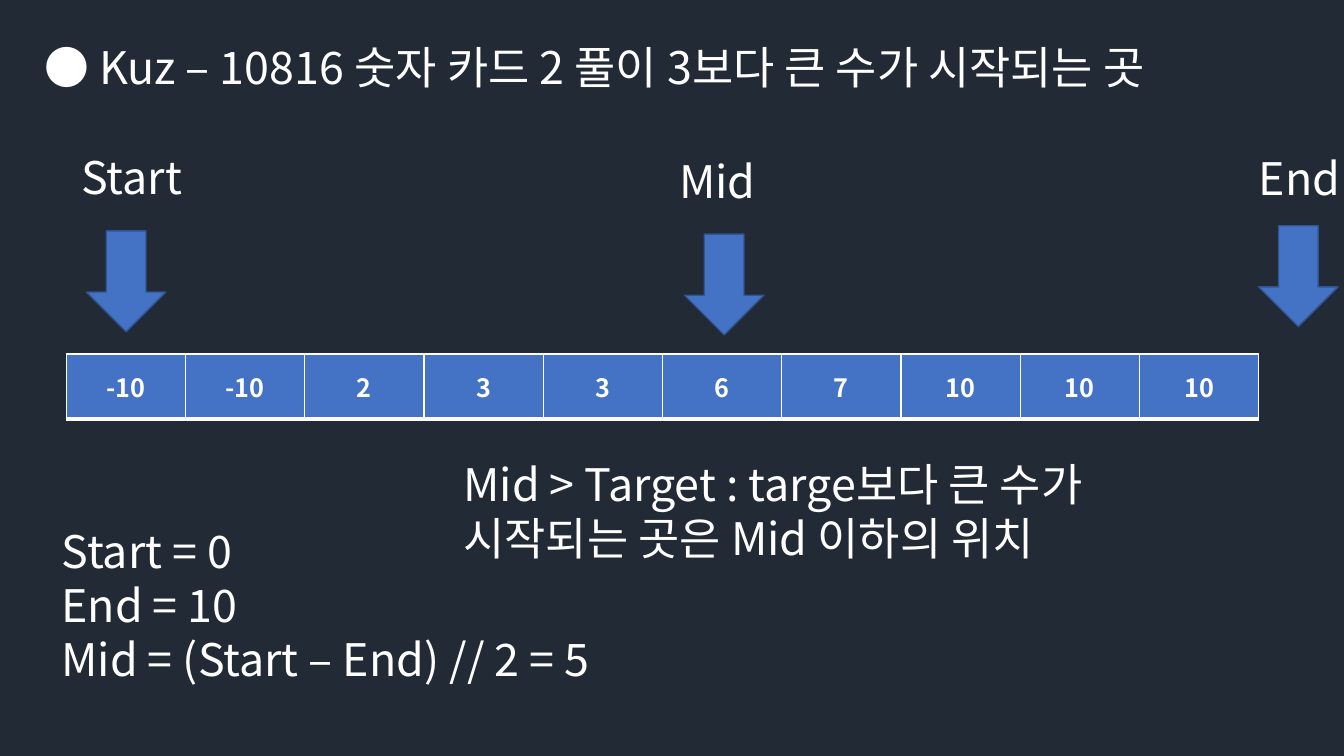
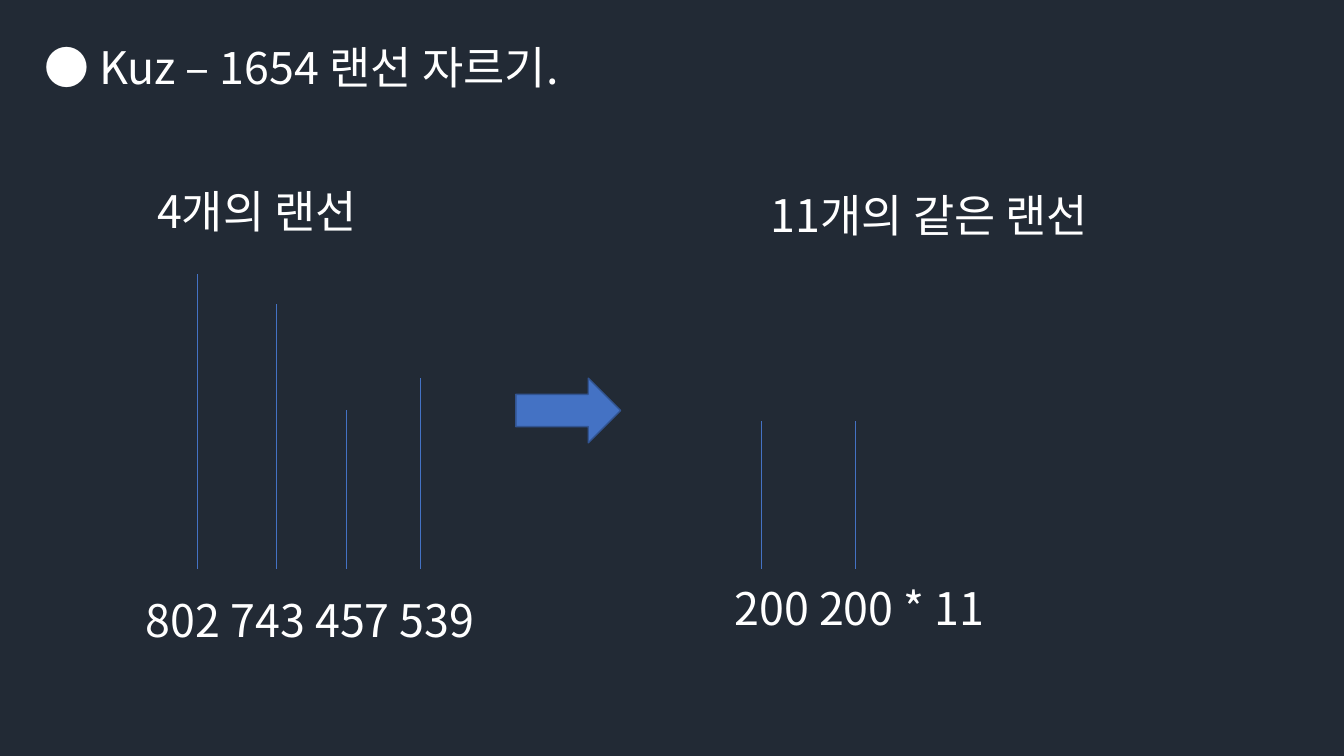
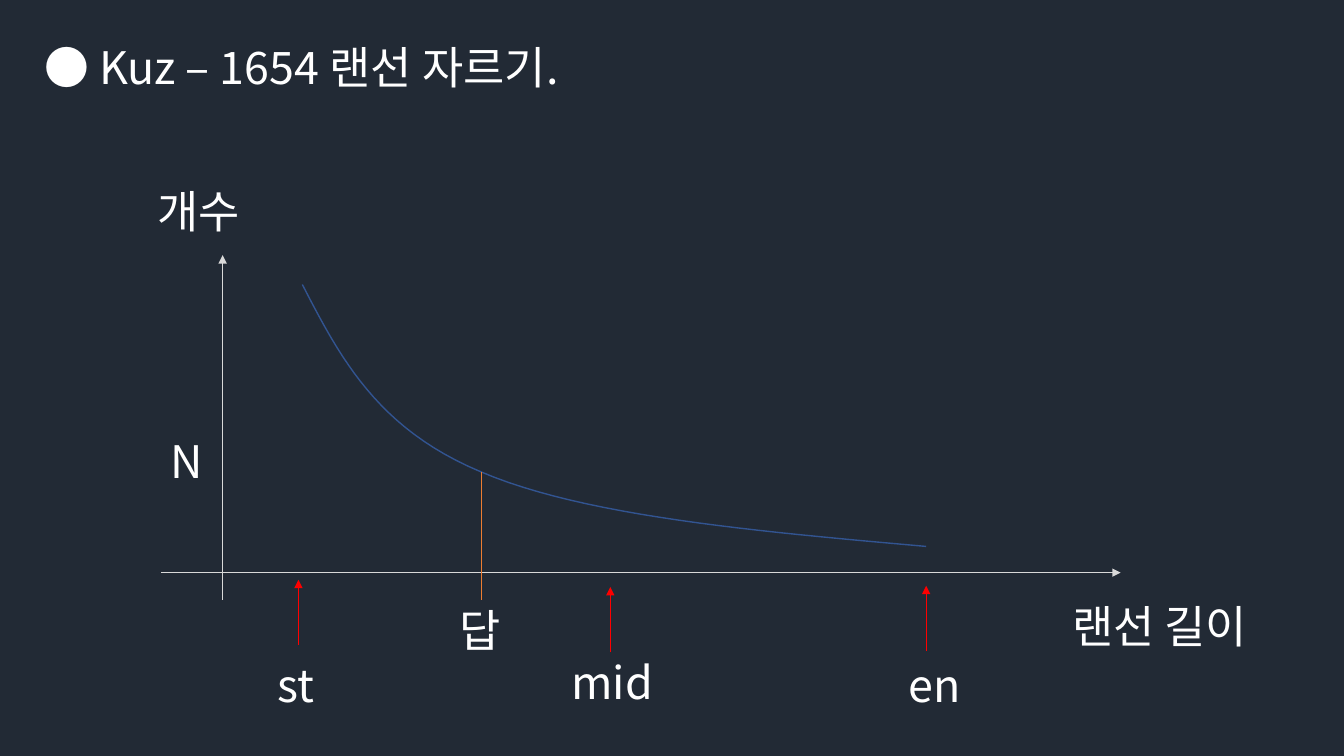
from dataclasses import dataclass

import pptx
import pptx.dml.color
import pptx.enum.shapes
import pptx.enum.text
import pptx.oxml
import pptx.oxml.ns
import pptx.util

Cm = pptx.util.Cm
Pt = pptx.util.Pt
Shapes = pptx.enum.shapes.MSO_SHAPE
Align = pptx.enum.text.PP_ALIGN
Anchor = pptx.enum.text.MSO_ANCHOR


@dataclass(frozen=True)
class Theme:
    """Colours, font, sizes and line widths of the deck."""

    background: str = "222A35"
    text: str = "FFFFFF"
    accent: str = "4472C4"
    outline: str = "325491"
    axis: str = "D9D9D9"
    answer: str = "ED7D31"
    marker: str = "FF0000"
    font: str = "Noto Sans CJK KR"
    body_size: int = 32
    cell_size: int = 18
    thin: float = 0.5
    normal: float = 1
    thick: float = 3


@dataclass(frozen=True)
class Box:
    """A rectangle in centimetres."""

    left: float
    top: float
    width: float
    height: float

    @property
    def bottom(self):
        """Return the lower edge."""
        return self.top + self.height

    def lengths(self):
        """Return left, top, width and height as lengths."""
        return [Cm(value) for value in (self.left, self.top, self.width, self.height)]


THEME = Theme()
LINE_HEIGHT = 1.63
TITLE_BOX = Box(0.86, 0.88, 31.19, LINE_HEIGHT)


def rgb(value):
    """Return a colour from its hex code."""
    return pptx.dml.color.RGBColor.from_string(value)


def apply_format(target, values):
    """Set each named attribute of the target."""
    for name, value in values.items():
        setattr(target, name, value)


def add_xml(parent, markup):
    """Append one DrawingML element to the parent."""
    namespace = pptx.oxml.ns.nsdecls("a")
    head, rest = markup.split(" ", 1)
    parent.append(pptx.oxml.parse_xml(f"{head} {namespace} {rest}"))


def write_text(text_frame, lines, size=THEME.body_size, bold=False, alignment=Align.LEFT):
    """Write one formatted paragraph for each line."""
    for index, line in enumerate(lines):
        paragraph = text_frame.add_paragraph() if index else text_frame.paragraphs[0]
        paragraph.alignment = alignment
        run = paragraph.add_run()
        run.text = line
        apply_format(run.font, {"size": Pt(size), "bold": bold, "name": THEME.font})
        run.font.color.rgb = rgb(THEME.text)
        add_xml(run._r.get_or_add_rPr(), f'<a:ea typeface="{THEME.font}"/>')


def format_frame(text_frame):
    """Make a frame wrap from the top and grow with its text."""
    apply_format(text_frame, {
        "word_wrap": True,
        "vertical_anchor": Anchor.TOP,
        "auto_size": pptx.enum.text.MSO_AUTO_SIZE.SHAPE_TO_FIT_TEXT,
    })


def add_text(slide, box, *lines):
    """Add a text box."""
    text_frame = slide.shapes.add_textbox(*box.lengths()).text_frame
    format_frame(text_frame)
    write_text(text_frame, lines)


def format_line(line, color, width):
    """Set the colour and width of a line."""
    line.color.rgb = rgb(color)
    line.width = Pt(width)


def add_block_arrow(slide, kind, box):
    """Add a filled block arrow."""
    arrow = slide.shapes.add_shape(kind, *box.lengths())
    arrow.shadow.inherit = False
    arrow.fill.solid()
    arrow.fill.fore_color.rgb = rgb(THEME.accent)
    format_line(arrow.line, THEME.outline, THEME.normal)


def add_line(slide, start, end, color, arrowhead=False):
    """Add a thin straight line, with an arrowhead at its end if asked."""
    connector = slide.shapes.add_connector(
        pptx.enum.shapes.MSO_CONNECTOR.STRAIGHT, *[Cm(value) for value in (*start, *end)])
    format_line(connector.line, color, THEME.thin)
    properties = connector._element.spPr
    if arrowhead:
        add_xml(properties.find(pptx.oxml.ns.qn("a:ln")), '<a:tailEnd type="triangle"/>')
    add_xml(properties, "<a:effectLst />")


def add_slide(presentation, title):
    """Add a slide with the shared title style."""
    slide = presentation.slides.add_slide(presentation.slide_layouts[5])
    shape = slide.shapes.title
    apply_format(shape, dict(zip(("left", "top", "width", "height"), TITLE_BOX.lengths())))
    format_frame(shape.text_frame)
    write_text(shape.text_frame, [f"● {title}"])
    return slide


def add_number_row(slide, box, numbers):
    """Add a one-row table of equal cells."""
    table = slide.shapes.add_table(1, len(numbers), *box.lengths()).table
    borders = {"lnL": THEME.normal, "lnR": THEME.normal,
               "lnT": THEME.normal, "lnB": THEME.thick}
    for column, number in enumerate(numbers):
        table.columns[column].width = Cm(box.width / len(numbers))
        cell = table.cell(0, column)
        cell.vertical_anchor = Anchor.MIDDLE
        for side, width in borders.items():
            add_xml(cell._tc.get_or_add_tcPr(),
                    f'<a:{side} w="{Pt(width)}"><a:solidFill><a:srgbClr val="{THEME.text}"/>'
                    f'</a:solidFill></a:{side}>')
        cell.fill.solid()
        cell.fill.fore_color.rgb = rgb(THEME.accent)
        write_text(cell.text_frame, [str(number)], THEME.cell_size, True, Align.CENTER)


def add_pointer(slide, box, label, indent):
    """Add a label at the top of the box and a down arrow at its bottom."""
    width, height = 2, 2.54
    add_text(slide, Box(box.left, box.top, box.width, LINE_HEIGHT), label)
    add_block_arrow(slide, Shapes.DOWN_ARROW,
                    Box(box.left + indent, box.bottom - height, width, height))


def add_cables(slide, box, heading, caption, indent, floor, cables):
    """Add a heading, upright cables given as offset and length, and a caption."""
    add_text(slide, Box(box.left + indent, box.top, box.width - indent, LINE_HEIGHT), heading)
    add_text(slide, Box(box.left, box.bottom - LINE_HEIGHT, box.width, LINE_HEIGHT), caption)
    bottom = box.top + floor
    for offset, length in cables:
        x = box.left + offset
        add_line(slide, (x, bottom - length), (x, bottom), THEME.accent)


def bezier_points(start, first, second, end, steps=24):
    """Return points along a cubic curve, without its start."""
    points = []
    for step in range(1, steps + 1):
        t = step / steps
        weights = ((1 - t) ** 3, 3 * t * (1 - t) ** 2, 3 * t ** 2 * (1 - t), t ** 3)
        points.append(tuple(
            sum(weight * value for weight, value in zip(weights, values))
            for values in zip(start, first, second, end)))
    return points


def add_graph(slide, box):
    """Add axes, a falling curve, the answer line and the search markers."""
    overhang_left, overhang_below = 1.55, 0.68
    start, answer, end = (2.01, -7.26), (6.51, -2.54), (17.73, -0.66)

    def place(point):
        """Move a point from the axis origin to the slide."""
        return box.left + point[0], box.bottom + point[1]

    def label(text, x, y):
        """Add a label at a place relative to the axis origin."""
        add_text(slide, Box(*place((x, y)), 6.1, LINE_HEIGHT), text)

    add_line(slide, place((0, overhang_below)), place((0, -box.height)), THEME.axis, True)
    add_line(slide, place((-overhang_left, 0)), place((box.width, 0)), THEME.axis, True)

    points = bezier_points(start, (2.95, -5.44), (3.89, -3.63), answer)
    points += bezier_points(answer, (9.12, -1.42), (13.44, -1.04), end)
    vertices = [tuple(Cm(value) for value in place(point)) for point in (start, *points)]
    builder = slide.shapes.build_freeform(*vertices[0])
    builder.add_line_segments(vertices[1:], close=False)
    curve = builder.convert_to_shape()
    curve.shadow.inherit = False
    curve.fill.background()
    format_line(curve.line, THEME.outline, THEME.normal)

    add_line(slide, place(answer), place((answer[0], overhang_below)), THEME.answer)
    for text, x, y in (("개수", -1.9, -9.93), ("랜선 길이", 21.16, 0.53),
                       ("N", -1.55, -3.63), ("답", 5.72, 0.64)):
        label(text, x, y)

    marker_length = 1.65
    for text, x, tip, text_x, text_y in (("st", 1.91, 0.18, 1.14, 2.03),
                                         ("mid", 9.77, 0.36, 8.54, 1.95),
                                         ("en", 17.73, 0.33, 17.03, 2.03)):
        add_line(slide, place((x, tip + marker_length)), place((x, tip)), THEME.marker, True)
        label(text, text_x, text_y)


def build_search_slide(presentation):
    """Build the binary search step."""
    slide = add_slide(presentation, "Kuz – 10816 숫자 카드 2 풀이 3보다 큰 수가 시작되는 곳")
    add_number_row(slide, Box(1.67, 8.92, 30.05, LINE_HEIGHT),
                   (-10, -10, 2, 3, 3, 6, 7, 10, 10, 10))
    for label, left, top, height, indent in (("Start", 1.8, 3.66, 4.7, 0.38),
                                             ("Mid", 16.87, 3.74, 4.7, 0.38),
                                             ("End", 31.47, 3.68, 4.55, 0.25)):
        add_pointer(slide, Box(left, top, 3.15, height), label, indent)
    add_text(slide, Box(1.3, 13.08, 23.42, 4.37),
             "Start = 0", "End = 10", "Mid = (Start – End) // 2 = 5")
    add_text(slide, Box(11.43, 11.38, 18.75, 3),
             "Mid > Target : targe보다 큰 수가 시작되는 곳은 Mid 이하의 위치")


def build_cutting_slide(presentation, title):
    """Build the cables before and after cutting."""
    slide = add_slide(presentation, title)
    add_cables(slide, Box(3.43, 4.5, 9.98, 11.94), "4개의 랜선", "802 743 457 539", 0.28, 9.83,
               ((1.55, 7.42), (3.54, 6.66), (5.31, 3.99), (7.17, 4.8)))
    add_block_arrow(slide, Shapes.RIGHT_ARROW, Box(13, 9.53, 2.64, LINE_HEIGHT))
    add_cables(slide, Box(18.26, 4.6, 10.65, 11.53), "11개의 같은 랜선", "200 200 * 11", 0.92, 9.73,
               ((0.92, 3.71), (3.3, 3.71)))


def build_graph_slide(presentation, title):
    """Build the graph of count against cable length."""
    add_graph(add_slide(presentation, title), Box(5.61, 6.43, 22.63, 8))


def main():
    """Build and save the deck."""
    presentation = pptx.Presentation()
    apply_format(presentation, {"slide_width": Cm(33.87), "slide_height": Cm(19.05)})
    background = presentation.slide_master.background.fill
    background.solid()
    background.fore_color.rgb = rgb(THEME.background)
    cable_title = "Kuz – 1654 랜선 자르기."
    build_search_slide(presentation)
    build_cutting_slide(presentation, cable_title)
    build_graph_slide(presentation, cable_title)
    presentation.save("out.pptx")


main()
